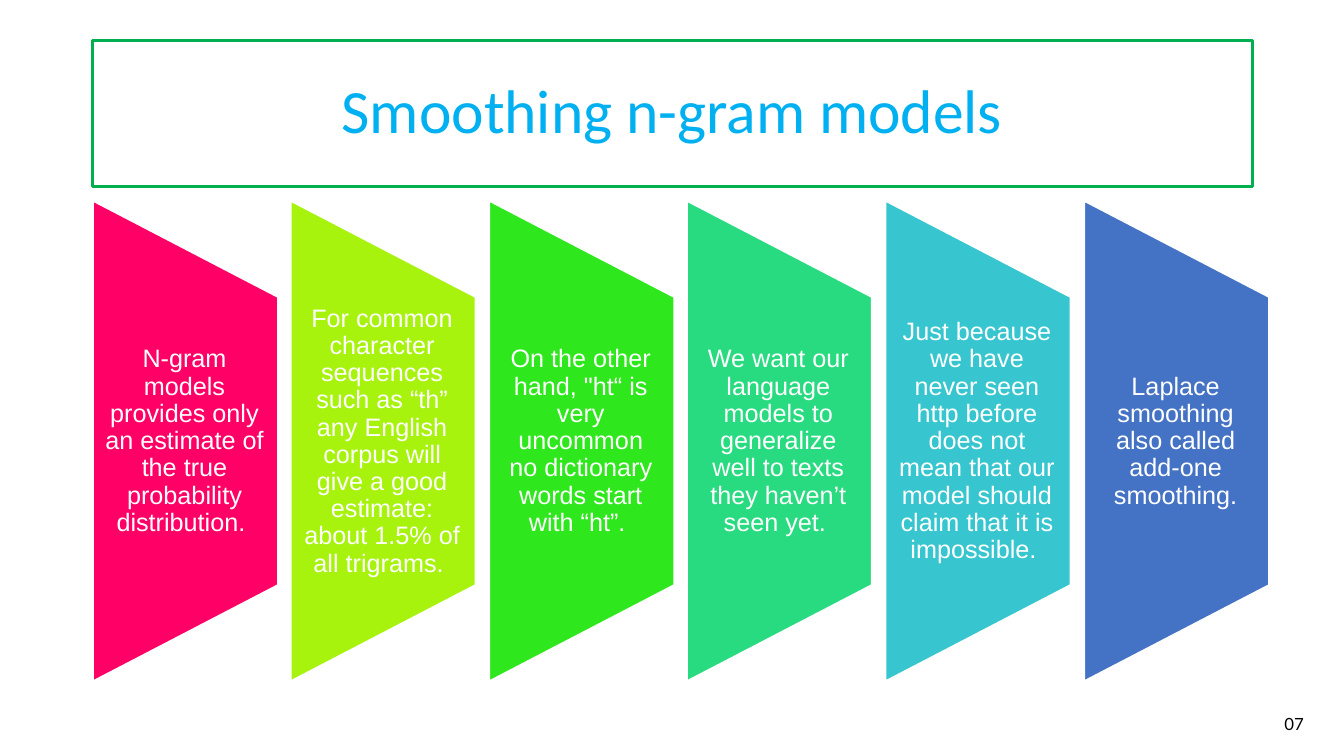
from dataclasses import dataclass

from pptx import Presentation
from pptx.dml.color import RGBColor
from pptx.enum.shapes import MSO_SHAPE
from pptx.enum.text import MSO_ANCHOR, MSO_AUTO_SIZE, PP_ALIGN
from pptx.slide import Slide
from pptx.text.text import TextFrame
from pptx.util import Emu, Pt

PX = 9144  # EMU per px, 100 px to the inch

WHITE = RGBColor(0xFF, 0xFF, 0xFF)
BLACK = RGBColor(0x00, 0x00, 0x00)
GREEN = RGBColor(0x00, 0xB0, 0x50)
SKY = RGBColor(0x00, 0xB0, 0xF0)
PINK = RGBColor(0xFF, 0x00, 0x66)
LIME = RGBColor(0xA7, 0xF3, 0x0E)
GRASS = RGBColor(0x2E, 0xE7, 0x1C)
MINT = RGBColor(0x29, 0xDB, 0x80)
TEAL = RGBColor(0x37, 0xC6, 0xCF)
BLUE = RGBColor(0x44, 0x72, 0xC4)

LEFT, LAST = 92, 1075  # left edges of the first and last panel
WIDTH, HEIGHT = 183, 476
TOP = 200


@dataclass(frozen=True)
class Panel:
    text: str
    fill: RGBColor


PANELS = [
    Panel("N-gram models provides only an estimate of the true probability distribution. ", PINK),
    Panel("For common character sequences such as “th” any English corpus will "
          "give a good estimate: about 1.5% of all trigrams. ", LIME),
    Panel("On the other hand, \"ht“ is very uncommon no dictionary words start with “ht”. ", GRASS),
    Panel("We want our language models to generalize well to texts they haven’t seen yet. ", MINT),
    Panel("Just because we have never seen http before does not mean that our "
          "model should claim that it is impossible. ", TEAL),
    Panel("Laplace smoothing also called add-one smoothing.", BLUE),
]


def box(left: int, top: int, width: int, height: int) -> tuple[Emu, ...]:
    """Turn px lengths into EMU."""
    return tuple(Emu(round(n * PX)) for n in (left, top, width, height))


def write(frame: TextFrame, text: str, font: str, size: int,
          color: RGBColor, pitch: float = 1.0) -> None:
    frame.word_wrap = True
    frame.text = text
    para = frame.paragraphs[0]
    para.alignment = PP_ALIGN.CENTER
    para.line_spacing = pitch
    face = para.runs[0].font
    face.name, face.size = font, Pt(size)
    face.color.rgb = color


def add_title(slide: Slide) -> None:
    title = slide.shapes.title
    title.left, title.top, title.width, title.height = box(92, 40, 1150, 145)
    title.line.color.rgb = GREEN
    title.line.width = Pt(2.25)
    frame = title.text_frame
    frame.auto_size = MSO_AUTO_SIZE.NONE
    frame.vertical_anchor = MSO_ANCHOR.MIDDLE
    write(frame, "Smoothing n-gram models", "Calibri", 44, SKY, 0.9)


def add_panel(slide: Slide, panel: Panel, left: int) -> None:
    """Draw a trapezoid turned on its side, with upright text over it."""
    shift = (HEIGHT - WIDTH) // 2
    shape = slide.shapes.add_shape(
        MSO_SHAPE.FLOWCHART_MANUAL_OPERATION,
        *box(left - shift, TOP + shift, HEIGHT, WIDTH))
    shape.rotation = 270
    shape.shadow.inherit = False
    shape.fill.solid()
    shape.fill.fore_color.rgb = panel.fill
    shape.line.color.rgb = WHITE
    shape.line.width = Pt(1)

    frame = slide.shapes.add_textbox(*box(left, TOP + 95, WIDTH, 286)).text_frame
    frame.vertical_anchor = MSO_ANCHOR.MIDDLE
    (frame.margin_left, frame.margin_top,
     frame.margin_right, frame.margin_bottom) = box(12, 0, 13, 0)
    write(frame, panel.text, "Arial", 18, WHITE, 0.9)


def add_number(slide: Slide) -> None:
    frame = slide.shapes.add_textbox(*box(1250, 703, 67, 30)).text_frame
    frame.auto_size = MSO_AUTO_SIZE.SHAPE_TO_FIT_TEXT
    write(frame, "07", "Lato", 12, BLACK)


def main() -> None:
    deck = Presentation()
    deck.slide_width, deck.slide_height = box(0, 0, 1333, 750)[2:]
    slide = deck.slides.add_slide(deck.slide_layouts[5])
    add_title(slide)
    for i, panel in enumerate(PANELS):
        add_panel(slide, panel, LEFT + i * (LAST - LEFT) // (len(PANELS) - 1))
    add_number(slide)
    deck.save("out.pptx")


if __name__ == "__main__":
    main()
